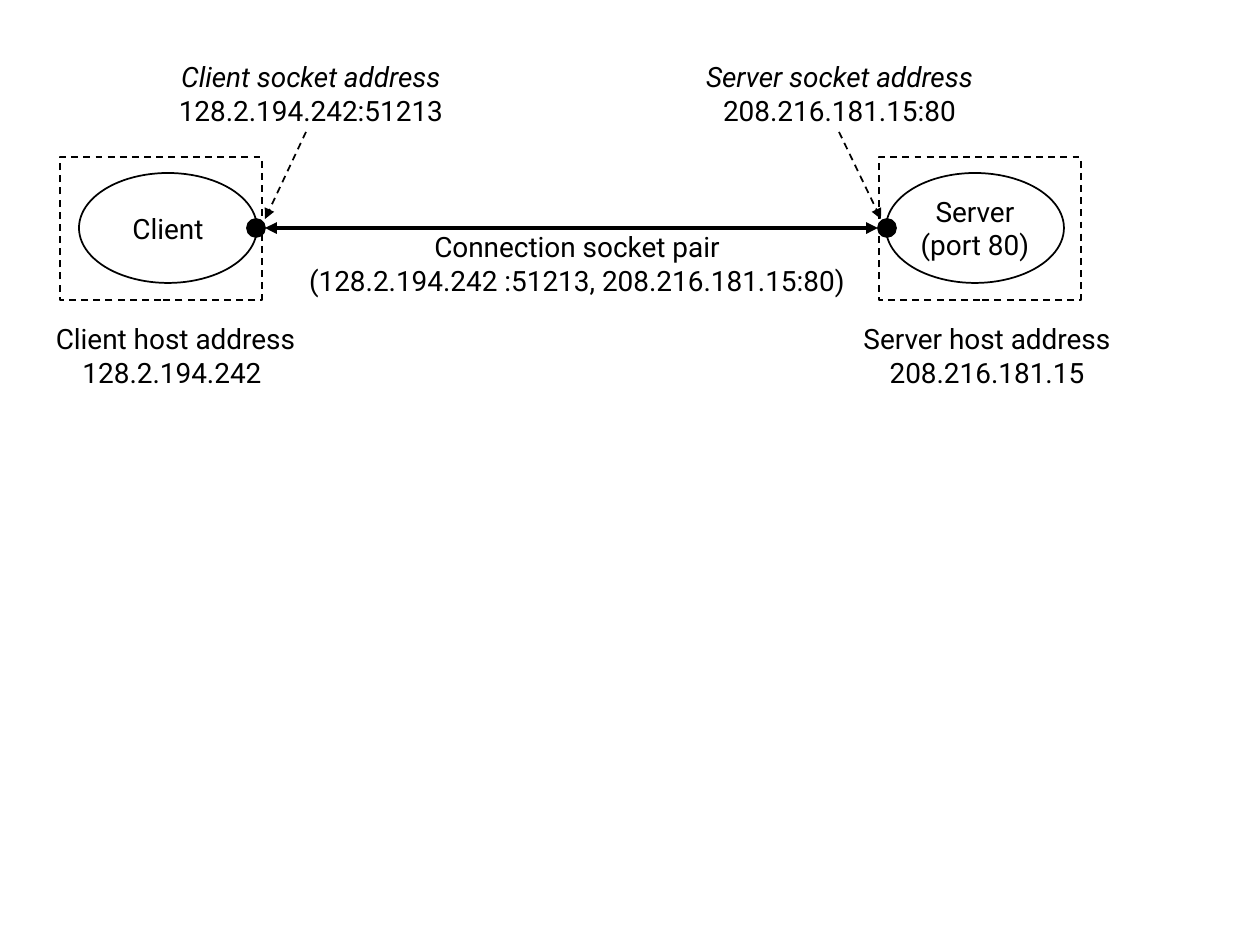
from lxml import etree
from pptx import Presentation
from pptx.dml.color import RGBColor
from pptx.enum.dml import MSO_LINE
from pptx.enum.shapes import MSO_CONNECTOR, MSO_SHAPE
from pptx.enum.text import MSO_ANCHOR, MSO_AUTO_SIZE, PP_ALIGN
from pptx.oxml.ns import qn
from pptx.util import Pt

SCALE = 914400 / 126
BLACK = RGBColor(0, 0, 0)
WHITE = RGBColor(255, 255, 255)
FONT = "Roboto"
DASH = MSO_LINE.DASH
ELLIPSE = MSO_SHAPE.OVAL
RECTANGLE = MSO_SHAPE.RECTANGLE
STRAIGHT = MSO_CONNECTOR.STRAIGHT
CENTER = PP_ALIGN.CENTER
MIDDLE = MSO_ANCHOR.MIDDLE
GROW = MSO_AUTO_SIZE.SHAPE_TO_FIT_TEXT

AXIS_Y = 228
LABEL_HEIGHT = 81
DOT_SIZE = 18


def px(*lengths):
    return [round(length * SCALE) for length in lengths]


def write_lines(shape, lines, wrap=False, italic_first=False):
    frame = shape.text_frame
    frame.word_wrap = wrap
    frame.vertical_anchor = MIDDLE
    for index, line in enumerate(lines):
        para = frame.paragraphs[0] if index == 0 else frame.add_paragraph()
        para.text = line
        para.alignment = CENTER
        para.font.name = FONT
        para.font.size = Pt(16)
        para.font.color.rgb = BLACK
        para.font.italic = italic_first and index == 0


def add_label(slide, left, top, width, lines, **style):
    box = slide.shapes.add_textbox(*px(left, top, width, LABEL_HEIGHT))
    write_lines(box, lines, **style)
    box.text_frame.auto_size = GROW


def add_outline(slide, kind, left, top, width, height, fill=None, dash=None):
    shape = slide.shapes.add_shape(kind, *px(left, top, width, height))
    shape.shadow.inherit = False
    if fill is None:
        shape.fill.background()
    else:
        shape.fill.solid()
        shape.fill.fore_color.rgb = fill
    shape.line.color.rgb = BLACK
    shape.line.width = Pt(1)
    if dash is not None:
        shape.line.dash_style = dash
    return shape


def add_arrow(slide, start, end, width=1, dash=None, both_ends=False):
    arrow = slide.shapes.add_connector(STRAIGHT, *px(*start, *end))
    arrow.line.color.rgb = BLACK
    arrow.line.width = Pt(width)
    if dash is not None:
        arrow.line.dash_style = dash
    properties = arrow.element.spPr
    line = properties.find(qn("a:ln"))
    for tag in ("a:headEnd", "a:tailEnd") if both_ends else ("a:tailEnd",):
        etree.SubElement(line, qn(tag), type="triangle")
    etree.SubElement(properties, qn("a:effectLst"))


def main():
    deck = Presentation()
    deck.slide_width, deck.slide_height = px(1260, 945)
    slide = deck.slides.add_slide(deck.slide_layouts[6])

    add_label(slide, 294, 223, 566, [
        "Connection socket pair",
        "(128.2.194.242 :51213, 208.216.181.15:80)",
    ])
    for left, lines in ((886, ["Server", "(port 80)"]), (79, ["Client"])):
        process = add_outline(slide, ELLIPSE, left, 173, 178, 110, fill=WHITE)
        write_lines(process, lines)

    client_dot, server_dot = 247, 878
    add_arrow(slide, (client_dot + DOT_SIZE, AXIS_Y), (server_dot, AXIS_Y),
              width=2.25, both_ends=True)
    for left in (client_dot, server_dot):
        add_outline(slide, ELLIPSE, left, AXIS_Y - DOT_SIZE // 2,
                    DOT_SIZE, DOT_SIZE, fill=BLACK)

    add_label(slide, 165, 53, 292,
              ["Client socket address", "128.2.194.242:51213"],
              italic_first=True)
    add_label(slide, 661, 53, 357,
              ["Server socket address", "208.216.181.15:80"],
              wrap=True, italic_first=True)
    for start_x, end_x in ((306, 265), (839, 881)):
        add_arrow(slide, (start_x, 132), (end_x, 219), dash=DASH)

    add_label(slide, 43, 315, 265, ["Client host address", "128.2.194.242 "])
    add_label(slide, 849, 315, 276, ["Server host address", "208.216.181.15"])
    for left in (879, 60):
        add_outline(slide, RECTANGLE, left, 157, 202, 143, dash=DASH)

    deck.save("out.pptx")


if __name__ == "__main__":
    main()
